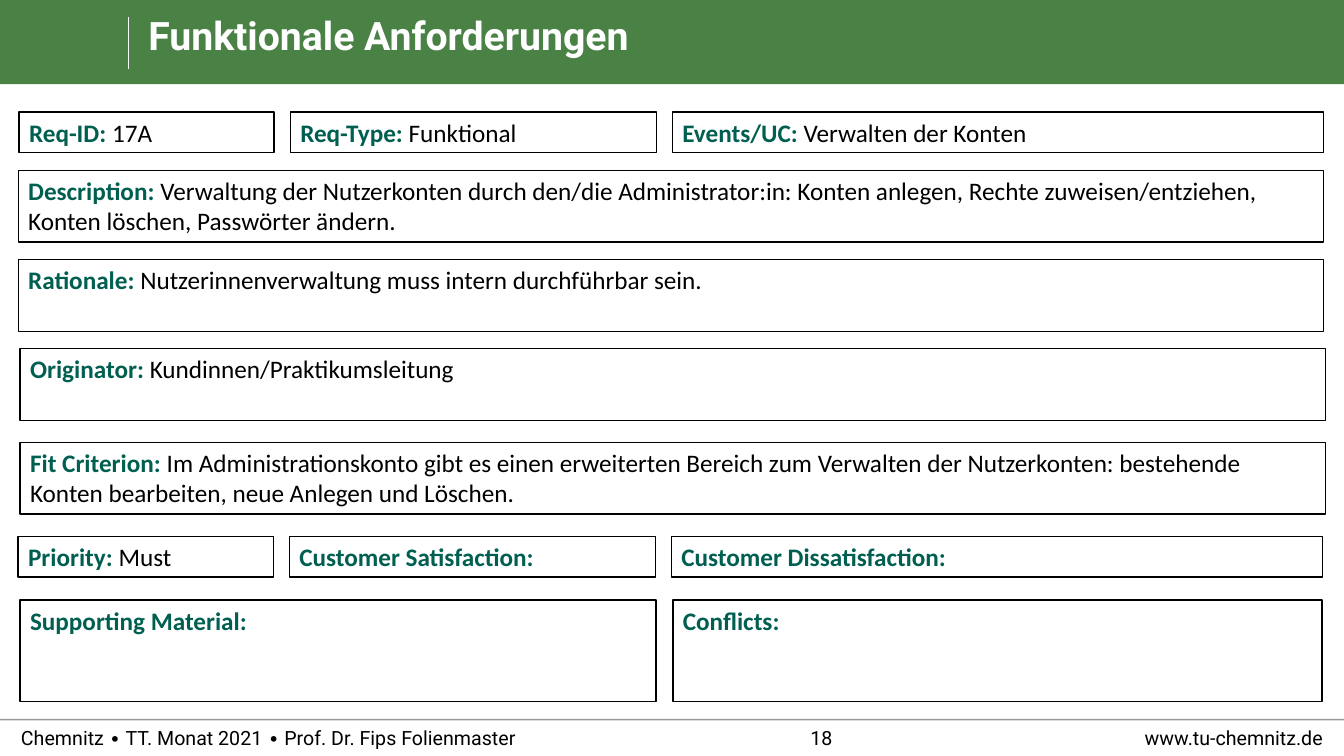
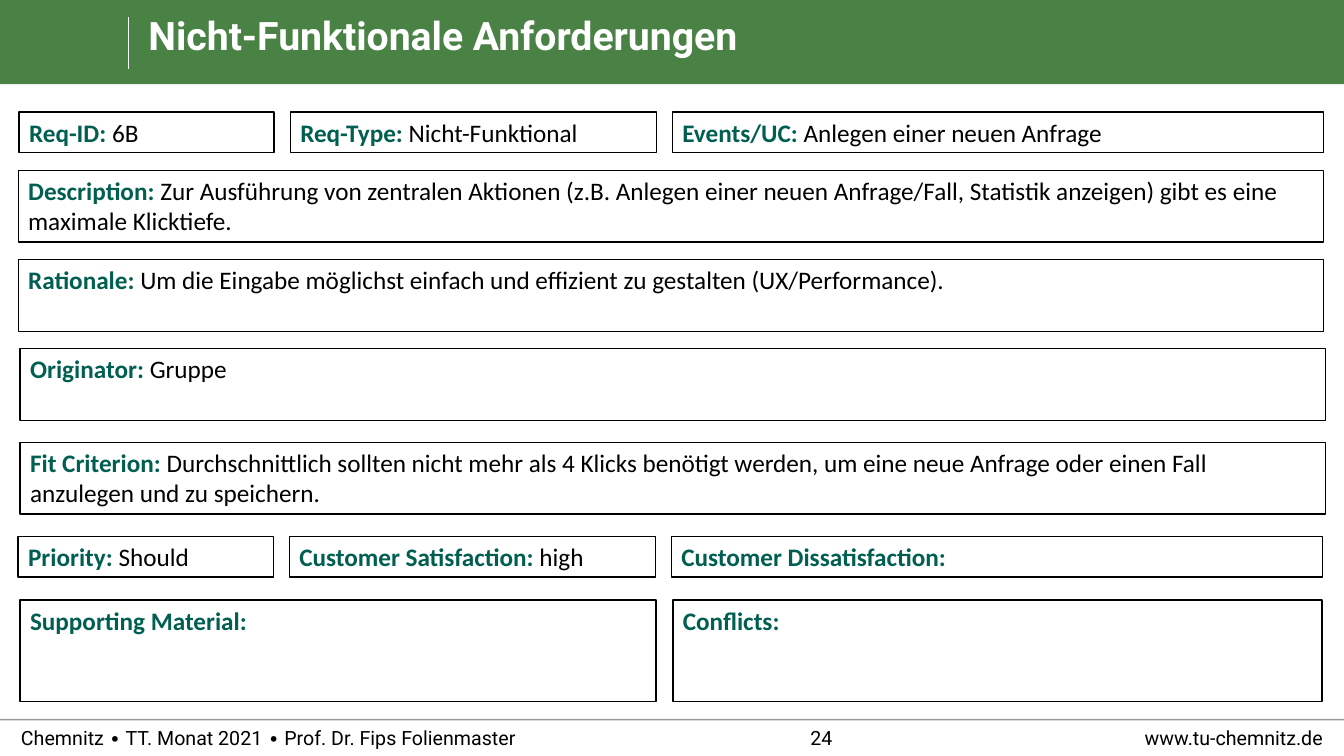
"""Builds two requirement cards that share one slide style."""
import pptx
import pptx.util
import pptx.dml.color
import pptx.enum.shapes
import pptx.enum.text
import pptx.oxml.ns
from lxml import etree

Pt = pptx.util.Pt
Align = pptx.enum.text.PP_ALIGN
Anchor = pptx.enum.text.MSO_ANCHOR

COLORS = {
    "band": "4A8246",
    "label": "005F50",
    "text": "000000",
    "paper": "FFFFFF",
}
WIDTH, HEIGHT = 960, 540
FOOTER_TOP = 514

FIELD_ROWS = [
    (13.7, 80, 29, 11.5, [("Req-ID:", 182.2), ("Req-Type:", 261.4), ("Events/UC:", 465.1)]),
    (13, 121.8, 51.1, 0, [("Description:", 932.4)]),
    (13, 185.5, 51.1, 0, [("Rationale:", 932.4)]),
    (14.4, 249.1, 51.1, 0, [("Originator:", 932.4)]),
    (14.4, 316.1, 51.1, 0, [("Fit Criterion:", 932.4)]),
    (13, 383.2, 29, 11.5, [("Priority:", 182.2), ("Customer Satisfaction:", 261.4),
                           ("Customer Dissatisfaction:", 465.1)]),
    (14.4, 428.6, 72.6, 12, [("Supporting Material:", 454.3), ("Conflicts:", 463.7)]),
]

CARDS = [
    ("Funktionale Anforderungen", 18, {
        "Req-ID:": "17A",
        "Req-Type:": "Funktional",
        "Events/UC:": "Verwalten der Konten",
        "Description:": "Verwaltung der Nutzerkonten durch den/die Administrator:in: Konten anlegen, "
                        "Rechte zuweisen/entziehen, Konten löschen, Passwörter ändern.",
        "Rationale:": "Nutzerinnenverwaltung muss intern durchführbar sein.",
        "Originator:": "Kundinnen/Praktikumsleitung",
        "Fit Criterion:": "Im Administrationskonto gibt es einen erweiterten Bereich zum Verwalten der "
                          "Nutzerkonten: bestehende Konten bearbeiten, neue Anlegen und Löschen.",
        "Priority:": "Must",
    }),
    ("Nicht-Funktionale Anforderungen", 24, {
        "Req-ID:": "6B",
        "Req-Type:": "Nicht-Funktional",
        "Events/UC:": "Anlegen einer neuen Anfrage",
        "Description:": "Zur Ausführung von zentralen Aktionen (z.B. Anlegen einer neuen Anfrage/Fall, "
                        "Statistik anzeigen) gibt es eine maximale Klicktiefe.",
        "Rationale:": "Um die Eingabe möglichst einfach und effizient zu gestalten (UX/Performance).",
        "Originator:": "Gruppe",
        "Fit Criterion:": "Durchschnittlich sollten nicht mehr als 4 Klicks benötigt werden, um eine neue "
                          "Anfrage oder einen Fall anzulegen und zu speichern.",
        "Priority:": "Should",
        "Customer Satisfaction:": "high",
    }),
]


def rgb(name):
    return pptx.dml.color.RGBColor.from_string(COLORS[name])


class CardDeck:
    def __init__(self):
        self.deck = pptx.Presentation()
        self.deck.slide_width, self.deck.slide_height = Pt(WIDTH), Pt(HEIGHT)
        self.page = None

    def add_page(self, title, number):
        self.page = self.deck.slides.add_slide(self.deck.slide_layouts[5])
        self.rect(0, 0, WIDTH, 60.2, "band")
        self.line(92, 12, 92, 49, "paper", 0.5)
        self.line(0, FOOTER_TOP, WIDTH, FOOTER_TOP, "text", 1, opacity=40)
        self.footer(650, 295, "www.tu-chemnitz.de", Align.RIGHT)
        self.footer(366.5, 440.6, str(number), Align.CENTER)
        self.footer(15, 453.6, "Chemnitz ∙ TT. Monat 2021 ∙ Prof. Dr. Fips Folienmaster", Align.LEFT)
        self.title(title)

    def rect(self, left, top, width, height, fill, outline=None):
        box = self.page.shapes.add_shape(pptx.enum.shapes.MSO_SHAPE.RECTANGLE,
                                         Pt(left), Pt(top), Pt(width), Pt(height))
        box.shadow.inherit = False
        box.fill.solid()
        box.fill.fore_color.rgb = rgb(fill)
        if outline:
            box.line.color.rgb = rgb(outline)
            box.line.width = Pt(1)
        else:
            box.line.fill.background()
        return box

    def line(self, x1, y1, x2, y2, color, width, opacity=100):
        rule = self.page.shapes.add_connector(pptx.enum.shapes.MSO_CONNECTOR.STRAIGHT,
                                              Pt(x1), Pt(y1), Pt(x2), Pt(y2))
        rule.line.color.rgb = rgb(color)
        rule.line.width = Pt(width)
        qn = pptx.oxml.ns.qn
        properties = rule.element.spPr
        if opacity < 100:
            paint = properties.find(".//" + qn("a:srgbClr"))
            etree.SubElement(paint, qn("a:alpha"), val=str(opacity * 1000))
        etree.SubElement(properties, qn("a:effectLst"))

    def set_text(self, shape, spans, font, size, align=Align.LEFT, anchor=Anchor.TOP, inset=True):
        frame = shape.text_frame
        frame.word_wrap = True
        frame.auto_size = pptx.enum.text.MSO_AUTO_SIZE.NONE
        frame.vertical_anchor = anchor
        if not inset:
            frame.margin_left = frame.margin_top = frame.margin_right = frame.margin_bottom = 0
        para = frame.paragraphs[0]
        para.alignment = align
        para.font.name, para.font.size = font, Pt(size)
        for text, color, bold in spans:
            span = para.add_run()
            span.text = text
            span.font.color.rgb = rgb(color)
            span.font.bold = bold
        return para

    def title(self, text):
        title = self.page.shapes.title
        title.left, title.top, title.width, title.height = Pt(106), Pt(12), Pt(839), Pt(37)
        para = self.set_text(title, [(text, "paper", True)], "Roboto", 28, inset=False)
        para.line_spacing = 0.9
        title.element.getparent().append(title.element)

    def footer(self, left, width, text, align):
        box = self.page.shapes.add_textbox(Pt(left), Pt(FOOTER_TOP), Pt(width), Pt(26.4))
        self.set_text(box, [(text, "text", False)], "Roboto", 14, align, Anchor.MIDDLE, inset=False)

    def field(self, left, top, width, height, label, value):
        box = self.rect(left, top, width, height, "paper", "text")
        spans = [(label, "label", True)]
        if value:
            spans.append((" " + value, "text", False))
        self.set_text(box, spans, "Calibri", 18)

    def card(self, title, number, values):
        self.add_page(title, number)
        for left, top, height, gap, fields in FIELD_ROWS:
            for label, width in fields:
                self.field(left, top, width, height, label, values.get(label))
                left += width + gap


def main():
    cards = CardDeck()
    for title, number, values in CARDS:
        cards.card(title, number, values)
    cards.deck.save("out.pptx")


if __name__ == "__main__":
    main()
